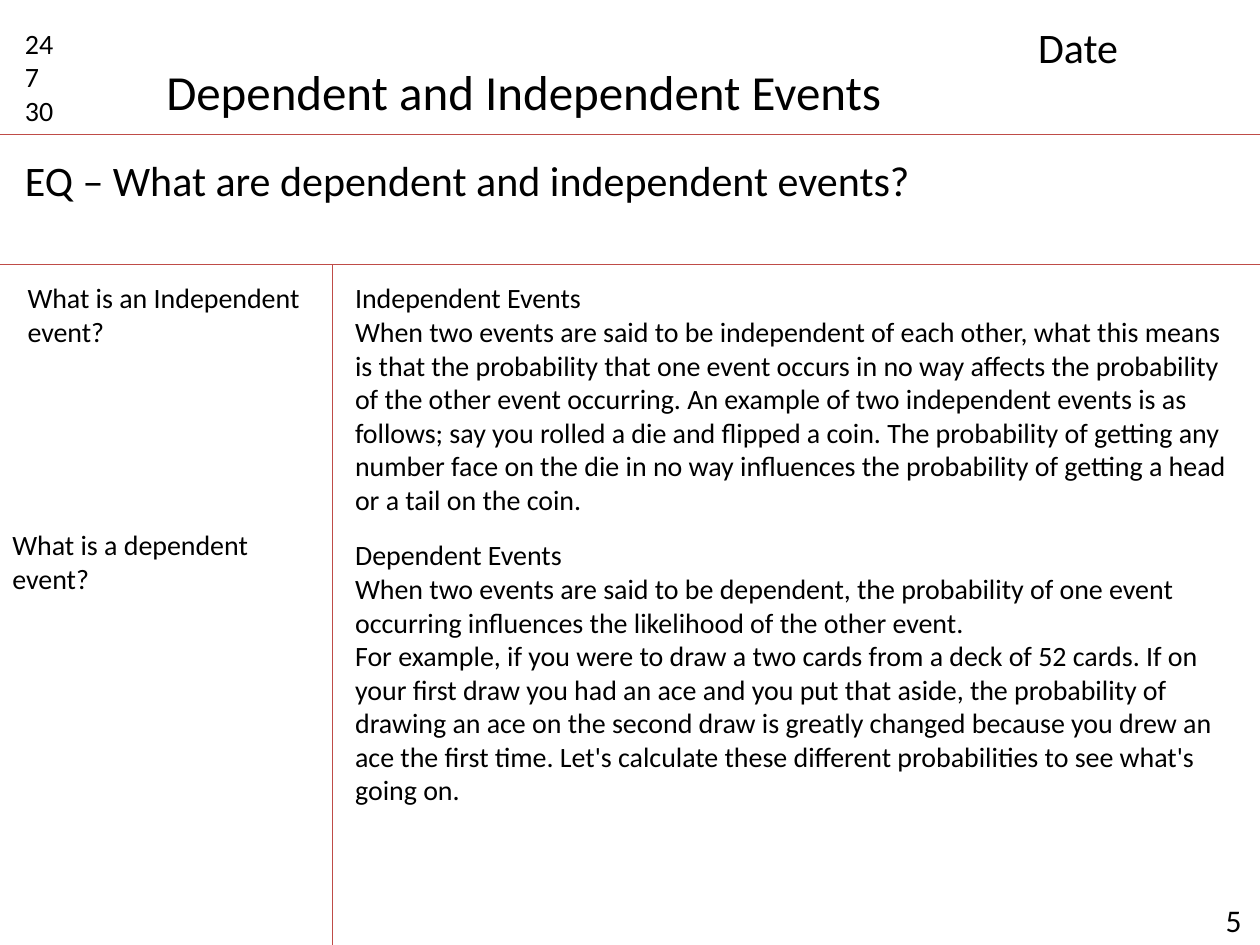
from lxml import etree
from pptx import Presentation
from pptx.dml.color import RGBColor
from pptx.enum.shapes import MSO_CONNECTOR
from pptx.enum.text import MSO_ANCHOR, MSO_AUTO_SIZE, PP_ALIGN
from pptx.oxml.ns import qn
from pptx.util import Inches, Pt

STRAIGHT = MSO_CONNECTOR.STRAIGHT
TOP = MSO_ANCHOR.TOP
FIT_SHAPE = MSO_AUTO_SIZE.SHAPE_TO_FIT_TEXT
LEFT = PP_ALIGN.LEFT

COLORS = {"text": "000000", "rule": "BF4C48"}
FONT = "Calibri"
TITLE_ONLY = 5
SLIDE_W, SLIDE_H = 10, 7.5
HEADER_H, NOTES_TOP, CUE_W = 1.07, 2.1, 2.64

INDEPENDENT = [
    "Independent Events",
    "When two events are said to be independent of each other, what this means "
    "is that the probability that one event occurs in no way affects the "
    "probability of the other event occurring. An example of two independent "
    "events is as follows; say you rolled a die and flipped a coin. The "
    "probability of getting any number face on the die in no way influences "
    "the probability of getting a head or a tail on the coin.",
]
DEPENDENT = [
    "Dependent Events",
    "When two events are said to be dependent, the probability of one event "
    "occurring influences the likelihood of the other event.",
    "For example, if you were to draw a two cards from a deck of 52 cards. If "
    "on your first draw you had an ace and you put that aside, the probability "
    "of drawing an ace on the second draw is greatly changed because you drew "
    "an ace the first time. Let's calculate these different probabilities to "
    "see what's going on.",
]


def write(tf, lines, size, wrap=True):
    tf.word_wrap = wrap
    tf.auto_size = FIT_SHAPE
    tf.vertical_anchor = TOP
    for i, line in enumerate(lines):
        p = tf.add_paragraph() if i else tf.paragraphs[0]
        p.alignment = LEFT
        r = p.add_run()
        r.text = line
        r.font.name = FONT
        r.font.size = Pt(size)
        r.font.color.rgb = RGBColor.from_string(COLORS["text"])


def add_text(s, x, y, w, h, lines, size=16):
    sp = s.shapes.add_textbox(Inches(x), Inches(y), Inches(w), Inches(h))
    write(sp.text_frame, lines, size)


def add_rule(s, x1, y1, x2, y2):
    line = s.shapes.add_connector(
        STRAIGHT, Inches(x1), Inches(y1), Inches(x2), Inches(y2))
    line.line.color.rgb = RGBColor.from_string(COLORS["rule"])
    line.line.width = Pt(0.75)
    etree.SubElement(line._element.spPr, qn("a:effectLst"))


def add_header(s, x, y, w, h):
    """Page counts, title and date above a rule."""
    add_text(s, x + 0.1, y + 0.16, 0.63, 0.91, ["24", "7", "30"])
    title = s.shapes.title
    title.left, title.top = Inches(x + 1.22), Inches(y + 0.44)
    title.width, title.height = Inches(5.94), Inches(0.57)
    write(title.text_frame, ["Dependent and Independent Events"], 28, wrap=False)
    add_text(s, x + w - 1.86, y + 0.12, 1.73, 0.5, ["Date"], 24)
    add_rule(s, x, y + h, x + w, y + h)


def add_question(s, x, y, w, h):
    """Essential question above a rule."""
    add_text(s, x + 0.1, y + 0.11, w - 0.57, 0.5,
             ["EQ – What are dependent and independent events?"], 24)
    add_rule(s, x, y + h, x + w, y + h)


def add_cues(s, x, y, w, h):
    """Cue questions with a rule along the right edge."""
    add_text(s, x + 0.12, y + 0.08, w - 0.16, 0.64,
             ["What is an Independent event?"])
    add_text(s, x, y + 2.04, w, 0.64, ["What is a dependent event?"])
    add_rule(s, x + w, y, x + w, y + h)


def add_notes(s, x, y, w, h):
    """Explanations, with the page number in the bottom right corner."""
    add_text(s, x + 0.08, y + 0.08, w - 0.19, 1.99, INDEPENDENT)
    add_text(s, x + 0.08, y + 2.12, w - 0.27, 2.26, DEPENDENT)
    add_text(s, x + w - 0.37, y + h - 0.4, 0.37, 0.4, ["5"], 18)


def main():
    prs = Presentation()
    prs.slide_width, prs.slide_height = Inches(SLIDE_W), Inches(SLIDE_H)
    s = prs.slides.add_slide(prs.slide_layouts[TITLE_ONLY])
    notes_h = SLIDE_H - NOTES_TOP
    add_header(s, 0, 0, SLIDE_W, HEADER_H)
    add_question(s, 0, HEADER_H, SLIDE_W, NOTES_TOP - HEADER_H)
    add_cues(s, 0, NOTES_TOP, CUE_W, notes_h)
    add_notes(s, CUE_W, NOTES_TOP, SLIDE_W - CUE_W, notes_h)
    prs.save("out.pptx")


if __name__ == "__main__":
    main()
